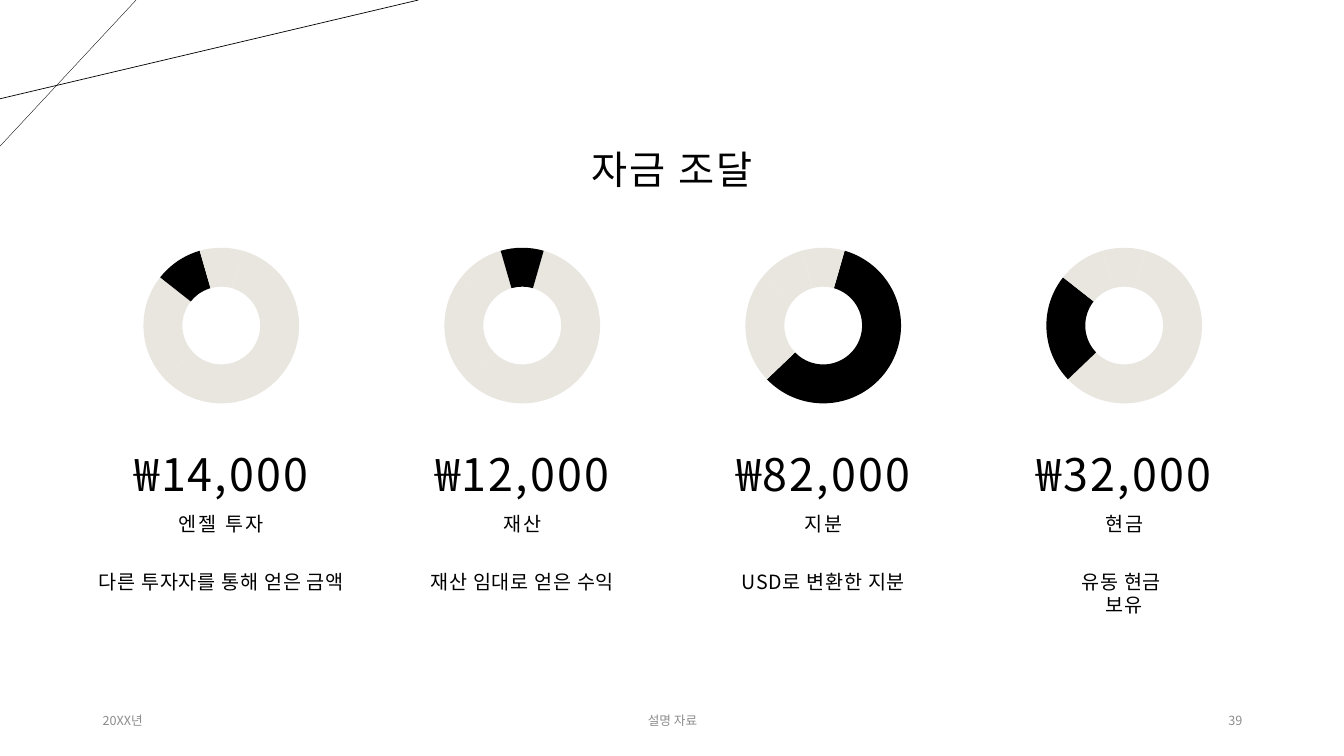
from pptx import Presentation
from pptx.chart.data import CategoryChartData
from pptx.dml.color import RGBColor
from pptx.enum.chart import XL_CHART_TYPE as Kind
from pptx.enum.shapes import MSO_CONNECTOR as Link
from pptx.enum.text import MSO_ANCHOR as Anchor, PP_ALIGN as Align
from pptx.oxml.ns import qn
from pptx.util import Inches, Pt
from lxml.etree import SubElement

BLACK = RGBColor(0x00, 0x00, 0x00)
SAND = RGBColor(0xE9, 0xE6, 0xDF)
GREY = RGBColor(0x8C, 0x8C, 0x8C)
FONT = "Noto Sans CJK KR"

TITLE = "자금 조달"
SHARES = [59, 23, 10, 9]
FUNDS = [
    ("₩14,000", "엔젤 투자", "다른 투자자를 통해 얻은 금액", 2),
    ("₩12,000", "재산", "재산 임대로 얻은 수익", 3),
    ("₩82,000", "지분", "USD로 변환한 지분", 0),
    ("₩32,000", "현금", "유동 현금 \n보유", 1),
]
FOOTER = [
    ("20XX년", 0.92, 3, Align.LEFT),
    ("설명 자료", 4.42, 4.5, Align.CENTER),
    ("39", 9.42, 3, Align.RIGHT),
]
LINES = [((1.35, 0), (0, 1.45), 0.25), ((4.15, 0), (0, 0.98), 0.5)]
LEFT, STEP, WIDTH = 0.92, 2.985, 2.55


def add_line(slide, start, end, weight):
    x1, y1, x2, y2 = [Inches(v) for v in start + end]
    line = slide.shapes.add_connector(Link.STRAIGHT, x1, y1, x2, y2)
    line.line.color.rgb = BLACK
    line.line.width = Pt(weight)
    SubElement(line._element.spPr, qn("a:effectLst"))


def add_text(slide, text, box, size, color=BLACK, align=Align.CENTER,
             anchor=Anchor.MIDDLE, gap=0, inset=0.1, lead=1, before=0):
    frame = slide.shapes.add_textbox(*[Inches(v) for v in box]).text_frame
    frame.word_wrap = True
    frame.vertical_anchor = anchor
    frame.margin_left = frame.margin_right = Inches(inset)
    para = frame.paragraphs[0]
    para.text = text
    para.alignment = align
    para.line_spacing = lead
    para.space_before = Pt(before)
    for run in para.runs:
        run.font.size = Pt(size)
        run.font.name = FONT
        run.font.color.rgb = color
        props = run.font._element
        props.set("spc", str(int(gap * 100)))
        SubElement(props, qn("a:ea")).set("typeface", FONT)


def add_ring(slide, left, mark):
    data = CategoryChartData()
    data.categories = ["1", "2", "3", "4"]
    data.add_series("Series 1", SHARES)
    box = [Inches(v) for v in (left, 2.32, 2.03, 1.82)]
    chart = slide.shapes.add_chart(Kind.DOUGHNUT, *box, data).chart
    chart.has_title = chart.has_legend = False
    chart.font.size = Pt(10)
    chart.font.name = "Calibri"
    chart.font.color.rgb = BLACK
    plot = chart.plots[0]
    for tag, value in (("c:firstSliceAng", "16"), ("c:holeSize", "80")):
        plot._element.find(qn(tag)).set("val", value)
    for i in range(len(SHARES)):
        part = plot.series[0].points[i].format
        part.fill.solid()
        part.fill.fore_color.rgb = BLACK if i == mark else SAND
        part.line.fill.background()


def main():
    deck = Presentation()
    deck.slide_width, deck.slide_height = Inches(13.33), Inches(7.5)
    slide = deck.slides.add_slide(deck.slide_layouts[6])
    for line in LINES:
        add_line(slide, *line)
    add_text(slide, TITLE, (2.06, 0.98, 9.21, 1.45), 28, gap=1.5, lead=0.9)
    for i, (amount, name, note, mark) in enumerate(FUNDS):
        left = LEFT + i * STEP
        add_ring(slide, left + 0.26, mark)
        rows = [
            (amount, 4.14, 0.88, 32, Anchor.BOTTOM, 1.5, 0.9),
            (name, 4.88, 0.48, 14, Anchor.BOTTOM, 1.5, 0.9),
            (note, 5.6, 0.93, 14, Anchor.TOP, 0.5, 1),
        ]
        for text, top, height, size, anchor, gap, lead in rows:
            add_text(slide, text, (left, top, WIDTH, height), size,
                     anchor=anchor, gap=gap, inset=0, lead=lead, before=10)
    for text, left, width, align in FOOTER:
        add_text(slide, text, (left, 6.95, width, 0.4), 9, GREY, align)
    deck.save("out.pptx")


if __name__ == "__main__":
    main()
